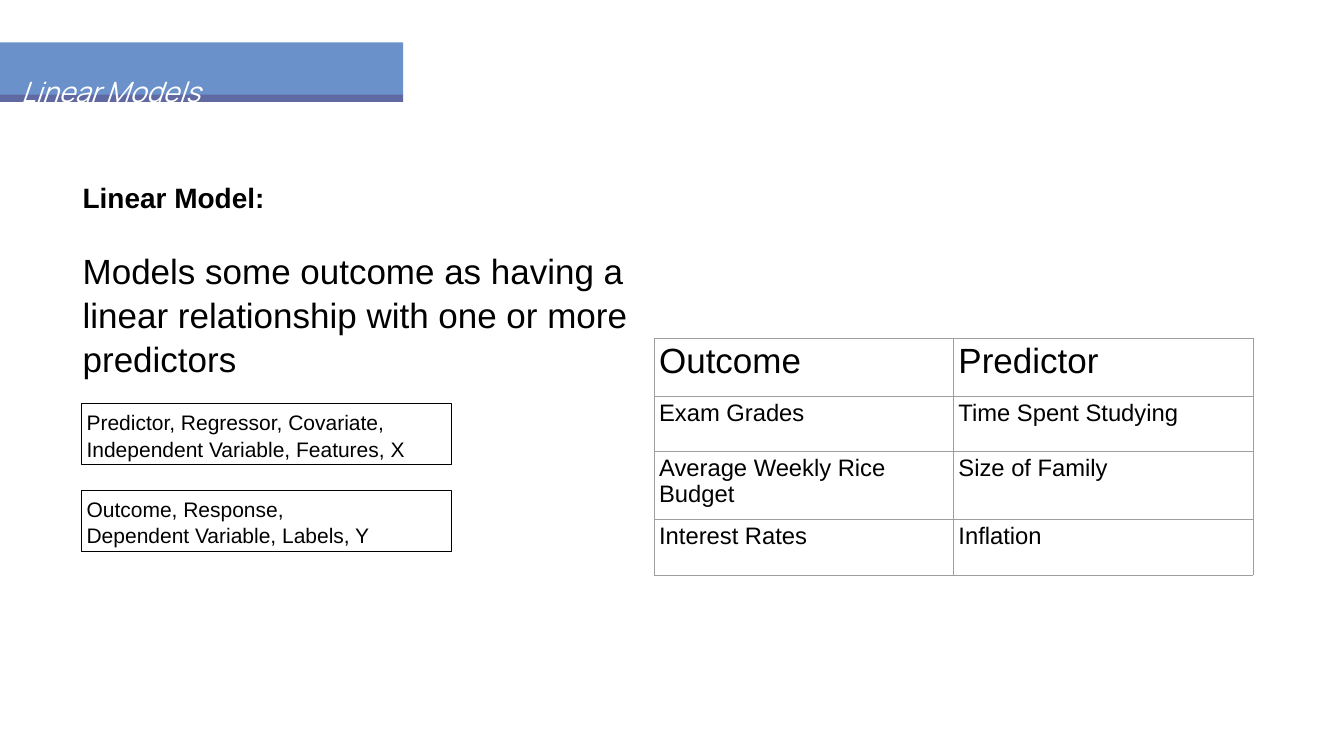
"""Build the Linear Models slide: definition, synonym boxes and example table."""
from dataclasses import dataclass

from lxml import etree
from pptx import Presentation
from pptx.dml.color import RGBColor
from pptx.enum.shapes import MSO_SHAPE
from pptx.enum.text import MSO_ANCHOR, MSO_AUTO_SIZE, PP_ALIGN
from pptx.oxml.ns import qn
from pptx.util import Inches, Pt

RECTANGLE = MSO_SHAPE.RECTANGLE
TOP, MIDDLE = MSO_ANCHOR.TOP, MSO_ANCHOR.MIDDLE
LEFT = PP_ALIGN.LEFT
NO_AUTOFIT = MSO_AUTO_SIZE.NONE


@dataclass(frozen=True)
class Theme:
    heading_font: str = "Manrope"
    body_font: str = "Arial"
    ink: str = "000000"
    paper: str = "FFFFFF"
    banner: str = "6B91CB"
    banner_edge: str = "6169A3"
    grid: str = "9E9E9E"
    heading_size: int = 40
    statement_size: int = 50
    synonym_size: int = 30
    cell_size: int = 34
    rule_width: float = 0.75
    inset: float = 0.1
    text_spacing: float = 1.05
    cell_spacing: float = 0.95


@dataclass(frozen=True)
class Box:
    left: float
    top: float
    width: float
    height: float

    def lengths(self) -> tuple:
        return tuple(Inches(n) for n in (self.left, self.top, self.width, self.height))


@dataclass(frozen=True)
class Band:
    box: Box
    color: str


@dataclass(frozen=True)
class Synonyms:
    top: float
    lines: tuple[str, ...]


THEME = Theme()
BANNER = (
    Band(Box(0, 0.84, 8, 1.05), THEME.banner),
    Band(Box(0, 1.88, 8, 0.14), THEME.banner_edge),
)
SYNONYMS = (
    Synonyms(8.01, ("Predictor, Regressor, Covariate, Independent Variable, Features, X",)),
    Synonyms(9.72, ("Outcome, Response,", "Dependent Variable, Labels, Y")),
)
EXAMPLES = (
    ("Outcome", "Predictor"),
    ("Exam Grades", "Time Spent Studying"),
    ("Average Weekly Rice Budget", "Size of Family"),
    ("Interest Rates", "Inflation"),
)
ROW_HEIGHTS = (1.14, 1.1, 1.35, 1.1)
COLUMN_WIDTH = 5.94


def write(paragraph, text: str, *, size: float, font: str = THEME.body_font,
          color: str = THEME.ink, bold: bool = False, italic: bool = False,
          spacing: float = THEME.text_spacing, before: float = 0) -> None:
    """Put formatted text into a paragraph."""
    paragraph.alignment = LEFT
    paragraph.line_spacing = spacing
    paragraph.space_before = Pt(before)
    run = paragraph.add_run()
    run.text = text
    run.font.size = Pt(size)
    run.font.name = font
    run.font.bold = bold
    run.font.italic = italic
    run.font.color.rgb = RGBColor.from_string(color)


def set_frame(frame, *, inset: float = THEME.inset, anchor=TOP) -> None:
    """Give a text frame its insets, anchor and wrapping."""
    frame.word_wrap = True
    frame.auto_size = NO_AUTOFIT
    frame.vertical_anchor = anchor
    frame.margin_left = frame.margin_right = Inches(inset)
    frame.margin_top = frame.margin_bottom = Inches(inset)


def place(shape, box: Box) -> None:
    """Move and size a shape."""
    shape.left, shape.top, shape.width, shape.height = box.lengths()


def draw_banner(slide) -> None:
    """Draw the coloured bands behind the title."""
    group = slide.shapes.add_group_shape()
    for band in BANNER:
        bar = group.shapes.add_shape(RECTANGLE, *band.box.lengths())
        bar.shadow.inherit = False
        bar.fill.solid()
        bar.fill.fore_color.rgb = RGBColor.from_string(band.color)
        bar.line.fill.background()


def fill_title(title) -> None:
    """Write the title and bring it in front of the banner."""
    place(title, Box(0.36, 1.15, 6.66, 0.84))
    set_frame(title.text_frame, inset=0.06, anchor=MIDDLE)
    write(title.text_frame.paragraphs[0], "Linear Models", size=THEME.heading_size,
          font=THEME.heading_font, color=THEME.paper, italic=True, spacing=1.73)
    title.element.getparent().append(title.element)


def fill_definition(body) -> None:
    """Write the definition without bullets."""
    place(body, Box(1.54, 3.44, 11.44, 4.07))
    frame = body.text_frame
    set_frame(frame)
    write(frame.paragraphs[0], "Linear Model:", size=THEME.heading_size, bold=True)
    write(frame.add_paragraph(),
          "Models some outcome as having a linear relationship with one or more predictors",
          size=THEME.statement_size, before=48)
    for paragraph in frame.paragraphs:
        properties = paragraph._p.get_or_add_pPr()
        properties.set("marL", "0")
        properties.set("indent", "0")
        etree.SubElement(properties, qn("a:buNone"))


def draw_synonyms(slide, synonyms: Synonyms) -> None:
    """Draw an outlined box of equivalent terms."""
    outline = slide.shapes.add_shape(
        RECTANGLE, *Box(1.62, synonyms.top, 7.34, 1.21).lengths())
    outline.shadow.inherit = False
    outline.fill.background()
    outline.line.color.rgb = RGBColor.from_string(THEME.ink)
    outline.line.width = Pt(THEME.rule_width)
    frame = outline.text_frame
    set_frame(frame)
    for index, line in enumerate(synonyms.lines):
        paragraph = frame.add_paragraph() if index else frame.paragraphs[0]
        write(paragraph, line, size=THEME.synonym_size)


def set_borders(cell) -> None:
    """Rule all four sides of a table cell."""
    properties = cell._tc.get_or_add_tcPr()
    for index, side in enumerate(("lnL", "lnR", "lnT", "lnB")):
        border = etree.Element(qn(f"a:{side}"), w=str(Pt(THEME.rule_width)))
        solid = etree.SubElement(border, qn("a:solidFill"))
        etree.SubElement(solid, qn("a:srgbClr"), val=THEME.grid)
        properties.insert(index, border)


def draw_examples(slide) -> None:
    """Draw the table of outcome and predictor pairs."""
    box = Box(12.98, 6.72, 2 * COLUMN_WIDTH, sum(ROW_HEIGHTS))
    table = slide.shapes.add_table(len(EXAMPLES), 2, *box.lengths()).table
    table.first_row = table.horz_banding = False
    for column in table.columns:
        column.width = Inches(COLUMN_WIDTH)
    for row_index, (pair, height) in enumerate(zip(EXAMPLES, ROW_HEIGHTS)):
        table.rows[row_index].height = Inches(height)
        size = THEME.cell_size if row_index else THEME.statement_size
        for cell, text in zip(table.rows[row_index].cells, pair):
            cell.margin_left = cell.margin_right = Inches(THEME.inset)
            cell.margin_top = cell.margin_bottom = Inches(THEME.inset)
            cell.fill.background()
            set_borders(cell)
            write(cell.text_frame.paragraphs[0], text, size=size,
                  spacing=THEME.cell_spacing)


def main() -> None:
    """Build and save the slide."""
    deck = Presentation()
    deck.slide_width, deck.slide_height = Inches(26.67), Inches(15)
    slide = deck.slides.add_slide(deck.slide_layouts[1])
    draw_banner(slide)
    fill_title(slide.shapes.title)
    fill_definition(slide.placeholders[1])
    for synonyms in SYNONYMS:
        draw_synonyms(slide, synonyms)
    draw_examples(slide)
    deck.save("out.pptx")


if __name__ == "__main__":
    main()
